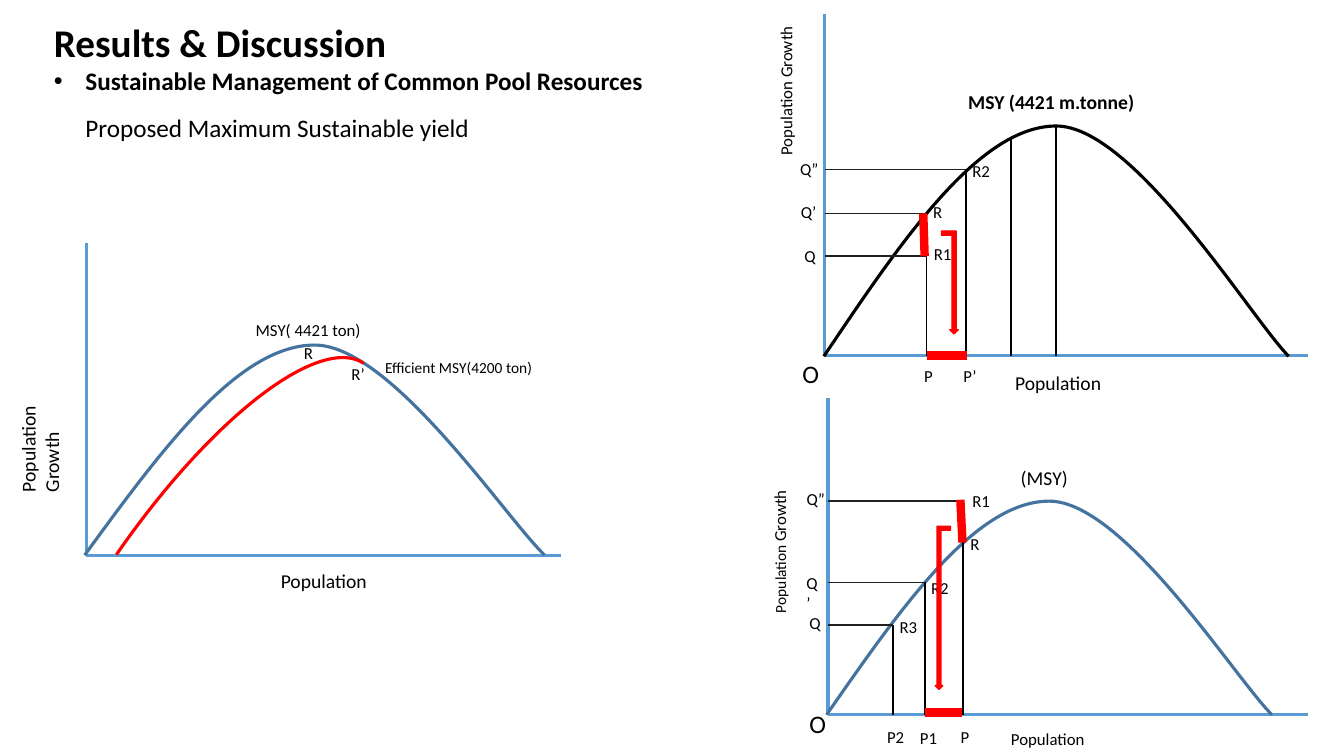
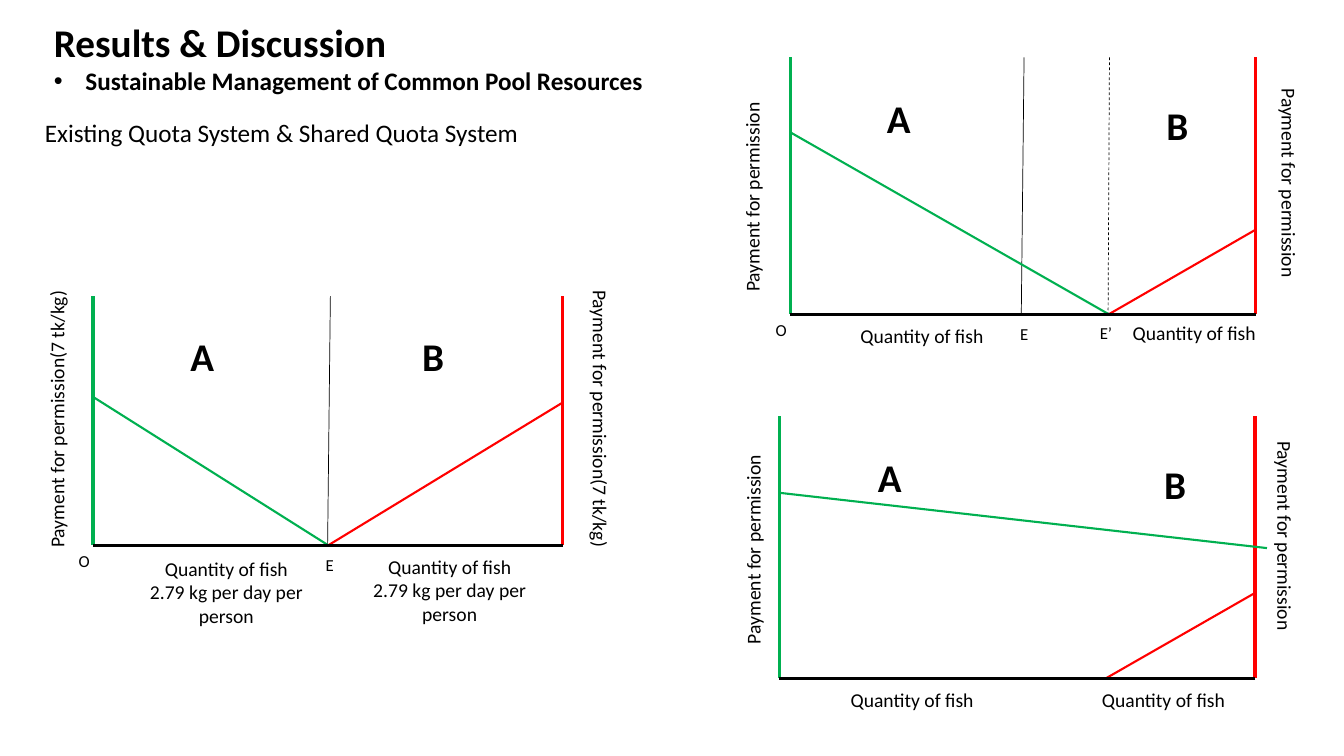
from dataclasses import dataclass
from typing import NamedTuple

from lxml.etree import SubElement
from pptx import Presentation
from pptx.dml.color import RGBColor
from pptx.enum.dml import MSO_LINE
from pptx.enum.shapes import MSO_CONNECTOR, MSO_SHAPE
from pptx.enum.text import MSO_AUTO_SIZE, PP_ALIGN
from pptx.oxml.ns import qn
from pptx.slide import Slide
from pptx.text.text import Font
from pptx.util import Pt


@dataclass(frozen=True)
class Theme:
    font: str = "Calibri"
    black: str = "000000"
    gray: str = "202020"
    red: str = "FF0000"
    green: str = "00B050"
    axis: str = "5B9BD5"
    blue: str = "43739E"
    title: float = 28
    lead: float = 18
    body: float = 14
    small: float = 12
    tiny: float = 11
    thick: float = 2.25
    mid: float = 1.5
    thin: float = 1
    hair: float = 0.5
    mark: float = 6


THEME = Theme()


class Label(NamedTuple):
    text: str
    x: float
    y: float
    width: float
    size: float = THEME.small
    rows: int = 1
    turn: float = 0
    bold: bool = False
    center: bool = False


class Line(NamedTuple):
    x1: float
    y1: float
    x2: float
    y2: float
    color: str = THEME.black
    width: float = THEME.thin
    dash: bool = False


class Box(NamedTuple):
    x: float
    y: float
    width: float
    height: float


class Drop(NamedTuple):
    x: float
    y: float
    width: float = THEME.mid


@dataclass(frozen=True)
class Yield:
    left: float
    right: float
    top: float
    base: float
    curve: Box
    color: str = THEME.blue
    drops: tuple[Drop, ...] = ()
    levels: tuple[tuple[float, float], ...] = ()
    labels: tuple[Label, ...] = ()


@dataclass(frozen=True)
class Quota:
    left: float
    right: float
    top: float
    base: float
    green: tuple[float, float, float]
    red: tuple[float, float]
    splits: tuple[Line, ...] = ()
    labels: tuple[Label, ...] = ()


BELL = ((0, 1), (1 / 6, 0.5), (1 / 3, 0), (0.5, 0), (2 / 3, 0), (0.916, 0.825), (1, 1))

MAIN_YIELD = Yield(
    61.5, 400.5, 173.5, 397, Box(60.5, 246.5, 328.5, 150),
    labels=(
        Label("Population Growth", -21.5, 288.5, 99.5, THEME.body, 2, 270),
        Label("Population", 193.5, 402.5, 172, THEME.body),
        Label("MSY( 4421 ton)", 175.5, 224.5, 167),
        Label("Efficient MSY(4200 ton)", 268, 252, 227.5, THEME.tiny),
        Label("R’", 244, 256.5, 30),
        Label("R", 210, 241, 30),
    ),
)
TOP_YIELD = Yield(
    589, 934, 10, 254, Box(588.5, 90, 332, 164.5), THEME.black,
    drops=(Drop(662, 152.5, THEME.thin), Drop(690, 121), Drop(722, 98), Drop(754, 89.5)),
    levels=((662, 152.5), (690, 121), (662, 183)),
    labels=(
        Label("Population Growth", 507, 53, 108.5, turn=270),
        Label("Population", 718, 261.5, 174, THEME.body),
        Label("O", 566, 252.5, 18, THEME.lead),
        Label("P", 653, 258, 18),
        Label("P’", 681, 258, 36.5),
        Label("Q", 567.5, 172, 18),
        Label("Q’", 565, 140.5, 26),
        Label("Q”", 564.5, 110, 30),
        Label("R", 659.5, 140.5, 18),
        Label("R1", 660, 170.5, 30),
        Label("R2", 687.5, 111, 30),
        Label("MSY (4421 m.tonne)", 684.5, 60.5, 226, THEME.body, bold=True),
    ),
)
LOW_YIELD = Yield(
    591.5, 934, 284.5, 510.5, Box(590.5, 358, 318, 152.5),
    drops=(Drop(661, 416), Drop(688, 358), Drop(638, 446.5)),
    levels=((661, 416), (688, 358), (638, 446.5)),
    labels=(
        Label("R", 686, 377.5, 29.5),
        Label("R1", 687.5, 347, 29.5),
        Label("R2", 658, 409.5, 29.5),
        Label("R3", 635.5, 437, 29.5),
        Label("Q", 571, 434, 17.5),
        Label("Q’", 569, 405.5, 25, rows=2),
        Label("Q”", 569, 345.5, 29.5),
        Label("Population", 715, 517, 167),
        Label("(MSY)", 722, 329, 49, THEME.body),
        Label("O", 571, 502.5, 17.5, THEME.lead),
        Label("P", 679, 515.5, 17.5),
        Label("P1", 650, 516.5, 34.5),
        Label("P2", 626.5, 515.5, 34.5),
    ),
)
MARKS = (
    Line(659.5, 152.5, 660.5, 183, THEME.red, THEME.mark),
    Line(691, 254, 662.5, 254, THEME.red, THEME.mark),
    Line(686, 357, 687.5, 387.5, THEME.red, THEME.mark),
    Line(661, 509, 687.5, 509, THEME.red, THEME.mark),
)

FISH = "Quantity of fish"
SHARE = FISH + "\n2.79 kg per day per person"
PAY = "Payment for permission"
PRICE = PAY + "(7 tk/kg)"


def letters(ax: float, ay: float, bx: float, by: float) -> tuple[Label, ...]:
    return tuple(
        Label(text, x, y, 47, THEME.title, bold=True)
        for text, x, y in (("A", ax, ay), ("B", bx, by))
    )


QUOTAS = (
    Quota(
        66.5, 402, 211.5, 389.5, (283.5, 234.5, 389.5), (234.5, 287.5),
        splits=(Line(236, 211.5, 234, 389.5, width=THEME.hair),),
        labels=letters(129, 234, 294.5, 234) + (
            Label(PRICE, -67, 287.5, 215, THEME.body, turn=270, center=True),
            Label(PRICE, 327, 287, 204, THEME.body, turn=90, center=True),
            Label(SHARE, 81.5, 394, 160.5, THEME.body, 3, center=True),
            Label(SHARE, 241, 392.5, 160.5, THEME.body, 3, center=True),
            Label("O", 49, 389.5, 23),
            Label("E", 225.5, 392.5, 23),
        ),
    ),
    Quota(
        564.5, 897, 41, 224.5, (94.5, 792, 224.5), (792, 164),
        splits=(
            Line(731.5, 41, 729.5, 224.5, width=THEME.hair),
            Line(792.5, 41, 791.5, 224.5, width=THEME.hair, dash=True),
        ),
        labels=letters(626.5, 63.5, 826, 68.5) + (
            Label(PAY, 461, 127.5, 152, THEME.body, turn=270),
            Label(PAY, 841, 124, 160, THEME.body, turn=90),
            Label(FISH, 607.5, 228, 131, THEME.body),
            Label(FISH, 802, 226, 131, THEME.body),
            Label("O", 547, 224.5, 23),
            Label("E", 721.5, 227.5, 23),
            Label("E’", 776, 227, 28, center=True),
        ),
    ),
    Quota(
        556.5, 896.5, 297.5, 484.5, (352, 905, 391.5), (790, 423.5),
        labels=letters(620, 320.5, 824.5, 325.5) + (
            Label(PAY, 440.5, 358, 194.5, THEME.body, turn=270),
            Label(PAY, 834, 380, 168, THEME.body, turn=90),
            Label(FISH, 600.5, 488, 134, THEME.body),
            Label(FISH, 780, 488, 134, THEME.body),
        ),
    ),
)


def style(font: Font, size: float, bold: bool = False) -> None:
    font.name = THEME.font
    font.size = Pt(size)
    font.bold = bold
    font.color.rgb = RGBColor.from_string(THEME.black)


def write(slide: Slide, label: Label):
    height = label.rows * label.size * 1.2 + 7.2
    box = slide.shapes.add_textbox(Pt(label.x), Pt(label.y), Pt(label.width), Pt(height))
    box.rotation = label.turn
    frame = box.text_frame
    frame.word_wrap = True
    frame.auto_size = MSO_AUTO_SIZE.SHAPE_TO_FIT_TEXT
    frame.text = label.text
    for para in frame.paragraphs:
        if label.center:
            para.alignment = PP_ALIGN.CENTER
        for run in para.runs:
            style(run.font, label.size, label.bold)
    return frame


def rule(slide: Slide, line: Line) -> None:
    ends = [Pt(value) for value in line[:4]]
    shape = slide.shapes.add_connector(MSO_CONNECTOR.STRAIGHT, *ends)
    shape.line.color.rgb = RGBColor.from_string(line.color)
    shape.line.width = Pt(line.width)
    if line.dash:
        shape.line.dash_style = MSO_LINE.DASH
    SubElement(shape._element.spPr, qn("a:effectLst"))


def outline(shape, color: str, width: float) -> None:
    shape.shadow.inherit = False
    shape.line.color.rgb = RGBColor.from_string(color)
    shape.line.width = Pt(width)


def bend(slide: Slide, box: Box, color: str) -> None:
    points = [(Pt(box.x + u * box.width), Pt(box.y + v * box.height)) for u, v in BELL]
    pen = slide.shapes.build_freeform(*points[0])
    pen.add_line_segments(points[1:], close=False)
    shape = pen.convert_to_shape()
    shape.fill.background()
    outline(shape, color, THEME.thick)
    trace = next(shape._element.iter(qn("a:path")))
    parts = trace.findall(qn("a:lnTo"))
    for start in (0, 3):
        cubic = SubElement(trace, qn("a:cubicBezTo"))
        for part in parts[start:start + 3]:
            cubic.append(part[0])
            trace.remove(part)


def preset(slide: Slide, kind: MSO_SHAPE, box: Box, flips: str):
    shape = slide.shapes.add_shape(kind, *(Pt(value) for value in box))
    for flip in flips:
        shape._element.spPr.xfrm.set("flip" + flip, "1")
    return shape


def arrow(slide: Slide, box: Box, flips: str) -> None:
    shape = preset(slide, MSO_SHAPE.BENT_UP_ARROW, box, flips)
    shape.fill.solid()
    shape.fill.fore_color.rgb = RGBColor.from_string(THEME.red)
    outline(shape, THEME.red, THEME.thin)


def arc(slide: Slide, box: Box, turn: float, stop: float) -> None:
    shape = preset(slide, MSO_SHAPE.ARC, box, "V")
    shape.rotation = turn
    shape.adjustments[1] = stop
    shape.fill.background()
    outline(shape, THEME.red, THEME.thick)


def plot(slide: Slide, item: Yield) -> None:
    rule(slide, Line(item.left, item.top, item.left, item.base, THEME.axis, THEME.thick))
    rule(slide, Line(item.right, item.base, item.left, item.base, THEME.axis, THEME.thick))
    bend(slide, item.curve, item.color)
    for drop in item.drops:
        rule(slide, Line(drop.x, drop.y, drop.x, item.base, width=drop.width))
    for x, y in item.levels:
        rule(slide, Line(x, y, item.left, y, THEME.gray))
    for label in item.labels:
        write(slide, label)


def panel(slide: Slide, item: Quota) -> None:
    start, end, low = item.green
    foot, high = item.red
    for line in (
        Line(item.left, item.top, item.left, item.base, THEME.green, THEME.thick),
        Line(item.right, item.top, item.right, item.base, THEME.red, THEME.thick),
        *item.splits,
        Line(item.left, start, end, low, THEME.green, THEME.mid),
        Line(foot, item.base, item.right, high, THEME.red, THEME.mid),
        Line(item.right, item.base, item.left, item.base, width=THEME.thick),
    ):
        rule(slide, line)
    for label in item.labels:
        write(slide, label)


def begin(deck, text: str, x: float, y: float) -> Slide:
    slide = deck.slides.add_slide(deck.slide_layouts[6])
    frame = write(slide, Label("Results & Discussion", 31.5, 9.5, 664.5, THEME.title, bold=True))
    para = frame.add_paragraph()
    para.text = "Sustainable Management of Common Pool Resources"
    props = para._p.get_or_add_pPr()
    props.set("marL", str(Pt(22.5)))
    props.set("indent", str(Pt(-22.5)))
    SubElement(props, qn("a:buFont")).set("typeface", "Arial")
    SubElement(props, qn("a:buChar")).set("char", "•")
    style(para.runs[0].font, THEME.lead, True)
    write(slide, Label(text, x, y, 456.5, THEME.lead))
    return slide


def main() -> None:
    deck = Presentation()
    deck.slide_width, deck.slide_height = Pt(960), Pt(540)

    slide = begin(deck, "Proposed Maximum Sustainable yield", 54, 77)
    for item in (TOP_YIELD, LOW_YIELD, MAIN_YIELD):
        plot(slide, item)
    growth = write(slide, Label("Population ", 486.5, 365, 139.5, THEME.tiny, turn=270))
    run = growth.paragraphs[0].add_run()
    run.text = "Growth"
    style(run.font, THEME.small)
    arc(slide, Box(66, 222, 141, 442), 213.9, 211.56)
    for mark in MARKS:
        rule(slide, mark)
    arrow(slide, Box(672.5, 165, 12, 73.5), "V")
    arrow(slide, Box(668, 376, 11, 116.5), "HV")

    slide = begin(deck, "Existing Quota System & Shared Quota System", 25, 80.5)
    for item in QUOTAS:
        panel(slide, item)

    deck.save("out.pptx")


if __name__ == "__main__":
    main()
